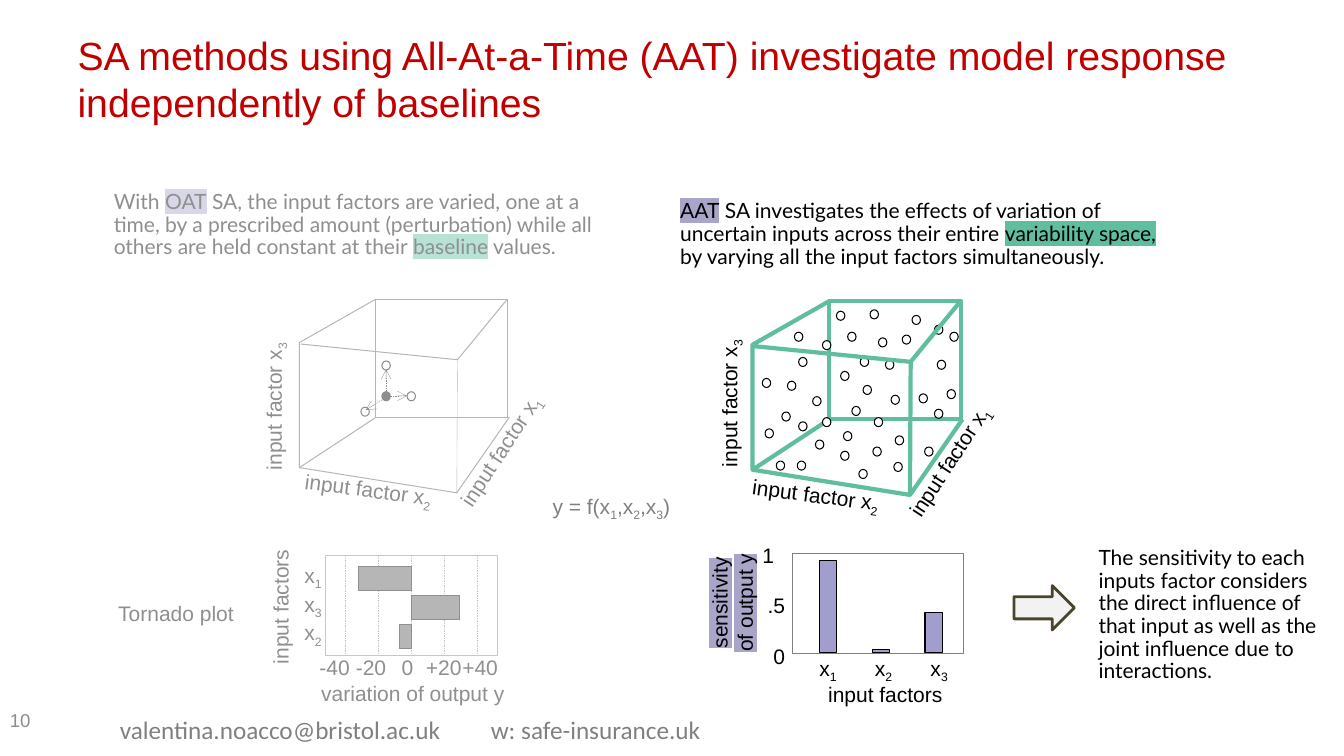
from lxml import etree
from pptx import Presentation
from pptx.chart.data import CategoryChartData
from pptx.dml.color import RGBColor
from pptx.enum.chart import XL_CHART_TYPE
from pptx.enum.dml import MSO_LINE
from pptx.enum.shapes import MSO_CONNECTOR, MSO_SHAPE
from pptx.enum.text import MSO_ANCHOR, MSO_AUTO_SIZE, PP_ALIGN
from pptx.oxml.ns import qn
from pptx.util import Pt

LEFT, CENTER, RIGHT = PP_ALIGN.LEFT, PP_ALIGN.CENTER, PP_ALIGN.RIGHT
TOP, MIDDLE = MSO_ANCHOR.TOP, MSO_ANCHOR.MIDDLE
RECTANGLE, OVAL, ARROW = MSO_SHAPE.RECTANGLE, MSO_SHAPE.OVAL, MSO_SHAPE.RIGHT_ARROW
STRAIGHT, DASH = MSO_CONNECTOR.STRAIGHT, MSO_LINE.DASH
BARS, COLUMNS = XL_CHART_TYPE.BAR_CLUSTERED, XL_CHART_TYPE.COLUMN_CLUSTERED

COLOURS = {"title": "C00000", "black": "000000", "white": "FFFFFF", "grey": "808080",
           "number": "8C8C8C", "dark": "595959", "green": "5FBDA0", "violet": "A8A5C9",
           "column": "A19ECE", "arrow": "F2F2F2", "olive": "4A452A"}
PROSE = {"font": "Lato", "align": LEFT, "anchor": TOP, "spacing": 0.9, "before": 10}

SAMPLES = [(30, 22), (84, 6), (139, 63), (86, 104), (130, 77), (130, 17), (68, 22), (132, 42),
           (141, 22), (79, 60), (50, 28), (25, 57), (107, 24), (87, 83), (7, 55), (63, 50),
           (102, 96), (99, 67), (77, 40), (71, 75), (63, 107), (45, 99), (123, 104), (65, 93),
           (32, 114), (43, 68), (33, 40), (9, 91), (50, 83), (76, 120), (21, 79), (33, 86),
           (17, 114), (60, 7), (90, 26), (114, 10), (95, 42), (119, 66), (101, 115)]


def colour(name):
    """Return the named colour."""
    return RGBColor.from_string(COLOURS[name])


def inside(box, left, top, width, height):
    """Return a box offset from the corner of another."""
    return box[0] + left, box[1] + top, width, height


def write(page, box, *lines, size=15, font="Arial", ink="black", align=CENTER, anchor=MIDDLE,
          spacing=None, before=None, rotation=0, inset=None, shape=None):
    """Write lines of (text, style) spans, a style being 'sub' or a highlight colour."""
    shape = shape or page.shapes.add_textbox(*map(Pt, box))
    shape.rotation = rotation
    frame = shape.text_frame
    look = {"word_wrap": True, "auto_size": MSO_AUTO_SIZE.NONE, "vertical_anchor": anchor}
    if inset is not None:
        look.update({f"margin_{side}": Pt(inset) for side in ("left", "right", "top", "bottom")})
    for name, value in look.items():
        setattr(frame, name, value)
    for index, line in enumerate(lines):
        para = frame.add_paragraph() if index else frame.paragraphs[0]
        para.alignment, para.line_spacing = align, spacing
        if before:
            para.space_before = Pt(before)
        for text, style in [(line, None)] if isinstance(line, str) else line:
            span = para.add_run()
            span.text = text
            span.font.size = Pt(size)
            span.font.color.rgb = colour(ink)
            properties = span.font.fill._xPr
            if style == "sub":
                properties.set("baseline", "-25000")
            elif style:
                mark = etree.SubElement(properties, qn("a:highlight"))
                etree.SubElement(mark, qn("a:srgbClr"), val=COLOURS[style])
            span.font.name = font


def finish(shape, fill=None, line=None, weight=0.75):
    """Give a shape its fill and line, and no shadow."""
    shape.shadow.inherit = False
    if fill:
        shape.fill.solid()
        shape.fill.fore_color.rgb = colour(fill)
    else:
        shape.fill.background()
    if line:
        shape.line.color.rgb = colour(line)
        shape.line.width = Pt(weight)
    else:
        shape.line.fill.background()
    return shape


def draw(page, kind, box, **look):
    """Draw a preset shape."""
    return finish(page.shapes.add_shape(kind, *map(Pt, box)), **look)


def link(page, box, start, end, line, weight, dashed=False, head=False):
    """Draw a straight line between two points of a box."""
    ends = [Pt(box[i] + point[i]) for point in (start, end) for i in (0, 1)]
    connector = page.shapes.add_connector(STRAIGHT, *ends)
    connector.line.color.rgb = colour(line)
    connector.line.width = Pt(weight)
    if dashed:
        connector.line.dash_style = DASH
    if head:
        etree.SubElement(connector.line._get_or_add_ln(), qn("a:tailEnd"), type="arrow")
    etree.SubElement(connector._element.spPr, qn("a:effectLst"))


def outline(page, box, points, line, weight):
    """Draw an open path through points of a box."""
    spots = [(Pt(box[0] + x), Pt(box[1] + y)) for x, y in points]
    builder = page.shapes.build_freeform(*spots[0])
    builder.add_line_segments(spots[1:], close=False)
    finish(builder.convert_to_shape(), line=line, weight=weight)


def cube(page, box, line, weight, edge, dots, labels):
    """Draw the space of three input factors with its dots and axis names."""
    outline(page, box, [(54.5, 0), (0, 31), (0, 120.3), (54.5, 84.5)], line, weight)
    draw(page, RECTANGLE, inside(box, 54.7, 0, 94.3, 84.2), line=line, weight=weight)
    outline(page, box, [(0, 120.2), (112.5, 138.2), (150, 84.2)], line, weight)
    for x, y, fill in dots:
        draw(page, OVAL, inside(box, x, y, 6, 6.5), fill=fill, line="black")
    outline(page, box, [(148.5, 0), (113, 43.2), (1, 32)], line, weight)
    link(page, box, (112.5, 137.5), (113, 43.2), line, edge)
    for digit, rotation, place in zip("321", (270, 7.4, 303.2), labels):
        write(page, inside(box, *place), [("input factor x", None), (digit, "sub")],
              align=RIGHT, rotation=rotation)


def bar_chart(page, box, kind, values, low, high, gap, fill):
    """Add a chart whose plot fills its box, without axes."""
    data = CategoryChartData()
    data.categories = list(values)
    data.add_series("y", list(values.values()))
    chart = page.shapes.add_chart(kind, *map(Pt, box), data).chart
    chart.has_legend = chart.has_title = False
    chart.font.size, chart.font.name = Pt(15), "Arial"
    chart.category_axis.visible = chart.value_axis.visible = False
    scale = {"minimum_scale": low, "maximum_scale": high, "has_major_gridlines": False}
    for name, value in scale.items():
        setattr(chart.value_axis, name, value)
    plot = chart.plots[0]
    plot.gap_width, plot.vary_by_categories = gap, False
    series = plot.series[0]
    series.invert_if_negative = False
    series.format.fill.solid()
    series.format.fill.fore_color.rgb = colour(fill)
    series.format.line.color.rgb = colour("black")
    series.format.line.width = Pt(0.75)
    area = chart.element.find(".//" + qn("c:plotArea"))
    for old in area.findall(qn("c:layout")):
        area.remove(old)
    layout = etree.Element(qn("c:layout"))
    area.insert(0, layout)
    manual = etree.SubElement(layout, qn("c:manualLayout"))
    for tag, value in (("layoutTarget", "inner"), ("xMode", "edge"), ("yMode", "edge"),
                       ("x", "0"), ("y", "0"), ("w", "1"), ("h", "1")):
        etree.SubElement(manual, qn("c:" + tag), val=value)


def tornado(page, box):
    """Draw the tornado plot with its labels."""
    draw(page, RECTANGLE, box, line="grey", weight=0.25)
    for i, tick in enumerate(("-40", "-20", "0", "+20", "+40")):
        x = 13.8 + 23.6 * i
        link(page, box, (x, 0), (x, box[3]), "grey", 0.25, dashed=True)
        write(page, inside(box, 26 * i - 18.6, 71, 50, 18), tick)
    bar_chart(page, inside(box, 0, 6.5, box[2], 62), BARS,
              {"x2": -7, "x3": 29, "x1": -32}, -52, 52, 20, "dark")
    for i, digit in enumerate("132"):
        write(page, inside(box, -30.2, 20.5 * i, 27.4, 28.8), [("x", None), (digit, "sub")],
              align=RIGHT, spacing=Pt(22.2), inset=0)
    write(page, inside(box, -11.5, 89.3, 147.6, 18.7), "variation of output y")
    write(page, inside(box, -81.4, 23.8, 97.9, 25.9), "input factors", rotation=270)
    write(page, inside(box, -180.7, 31.7, 147.6, 18.7), "Tornado plot")


def sensitivity(page, box):
    """Draw the sensitivity column chart with its labels."""
    draw(page, RECTANGLE, box, line="grey", weight=0.25)
    bar_chart(page, inside(box, 6.5, 0, 113.4, box[3]), COLUMNS,
              {"x1": 0.93, "x2": 0.03, "x3": 0.4}, 0, 1, 209, "column")
    for i, (tick, shift) in enumerate((("1", -8), (".5", 0), ("0", 0))):
        write(page, inside(box, shift - 38, 36 * i - 8, 40, 18), tick, align=RIGHT)
        write(page, inside(box, 39.7 * i + 5.5, 74.3, 40, 18),
              [("x", None), (str(i + 1), "sub")])
    write(page, inside(box, 13, 87.8, 107, 25.2), "input factors")
    write(page, inside(box, -92.1, 22.3, 97.9, 25.9), [("sensitivity", "violet")],
          [("of output y", "violet")], rotation=270)


def oat_panel(page, box):
    """Place the one-at-a-time side, faded by a white veil."""
    write(page, inside(box, 8.7, 18.7, 371.5, 70.6),
          [("With ", None), ("OAT", "violet"),
           (" SA, the input factors are varied, one at a time, by a prescribed amount "
            "(perturbation) while all others are held constant at their ", None),
           ("baseline", "green"), (" values.", None)], **PROSE)
    space = inside(box, 148.3, 99.3, 150, 138)
    cube(page, space, "dark", 0.7, 0.25,
         [(59, 44, "white"), (77, 66, "white"), (59, 66, "black"), (44, 77, "white")],
         [(-71.2, 69.2, 108, 18), (-19.4, 127.5, 121, 16.6), (85.7, 100.1, 113, 23.8)])
    for start, end in (((62, 66), (62, 50)), ((65, 69), (77, 69)), ((60.5, 71), (47.5, 79))):
        link(page, space, start, end, "black", 0.25, dashed=True, head=True)
    tornado(page, inside(box, 167.1, 282.2, 122.4, 71.3))
    veil = draw(page, RECTANGLE, box, fill="white")
    shade = veil._element.spPr.find(".//" + qn("a:srgbClr"))
    etree.SubElement(shade, qn("a:alpha"), val="56000")


def aat_panel(page, box):
    """Place the all-at-a-time side."""
    write(page, inside(box, 0, 0, 365.8, 62),
          [("AAT", "violet"), (" SA investigates the effects of variation of uncertain inputs "
                               "across their entire ", None),
           ("variability space, ", "green"),
           ("by varying all the input factors simultaneously.", None)], **PROSE)
    cube(page, inside(box, 58.7, 75.6, 150, 138), "green", 3, 3,
         [(x, y, "white") for x, y in SAMPLES],
         [(-79.6, 72, 128.2, 25.2), (-22, 130.3, 119.5, 15.8), (85.3, 101.5, 109.4, 30.2)])
    sensitivity(page, inside(box, 87.1, 255.6, 122.4, 71.3))
    draw(page, ARROW, inside(box, 245.5, 278.6, 43.2, 31.7), fill="arrow", line="olive", weight=2)
    write(page, inside(box, 298.8, 247.7, 171.4, 167),
          "The sensitivity to each inputs factor considers the direct influence of that input "
          "as well as the joint influence due to interactions.", **PROSE)


def heading_and_footer(page, box):
    """Place the title, slide number and contact line."""
    title = page.shapes.title
    place = inside(box, 48.2, 0, 864, 111.6)
    for name, value in zip(("left", "top", "width", "height"), place):
        setattr(title, name, Pt(value))
    write(page, place, "SA methods using All-At-a-Time (AAT) investigate model response "
          "independently of baselines", size=28, ink="title", align=LEFT, shape=title)
    write(page, inside(box, 0, 499.7, 224, 28.8), "10", size=13.3, ink="number", align=LEFT)
    for left, text in ((78.5, "valentina.noacco@bristol.ac.uk"), (343.5, "w: safe-insurance.uk")):
        write(page, inside(box, left, 506.9, 260, 28.8), text, size=18, font="Calibri",
              ink="grey", align=LEFT, anchor=TOP)


def main():
    """Build and save the deck."""
    deck = Presentation()
    deck.slide_width, deck.slide_height = Pt(960), Pt(540)
    page = deck.slides.add_slide(deck.slide_layouts[5])
    heading_and_footer(page, (0, 0, 960, 540))
    oat_panel(page, (65.5, 114.5, 407.5, 393.8))
    aat_panel(page, (478.8, 139.7, 470, 400))
    write(page, (345.6, 334.1, 182.2, 57.6),
          [("y = f(x", None), ("1", "sub"), (",x", None), ("2", "sub"), (",x", None),
           ("3", "sub"), (")", None)], ink="grey")
    deck.save("out.pptx")


if __name__ == "__main__":
    main()
